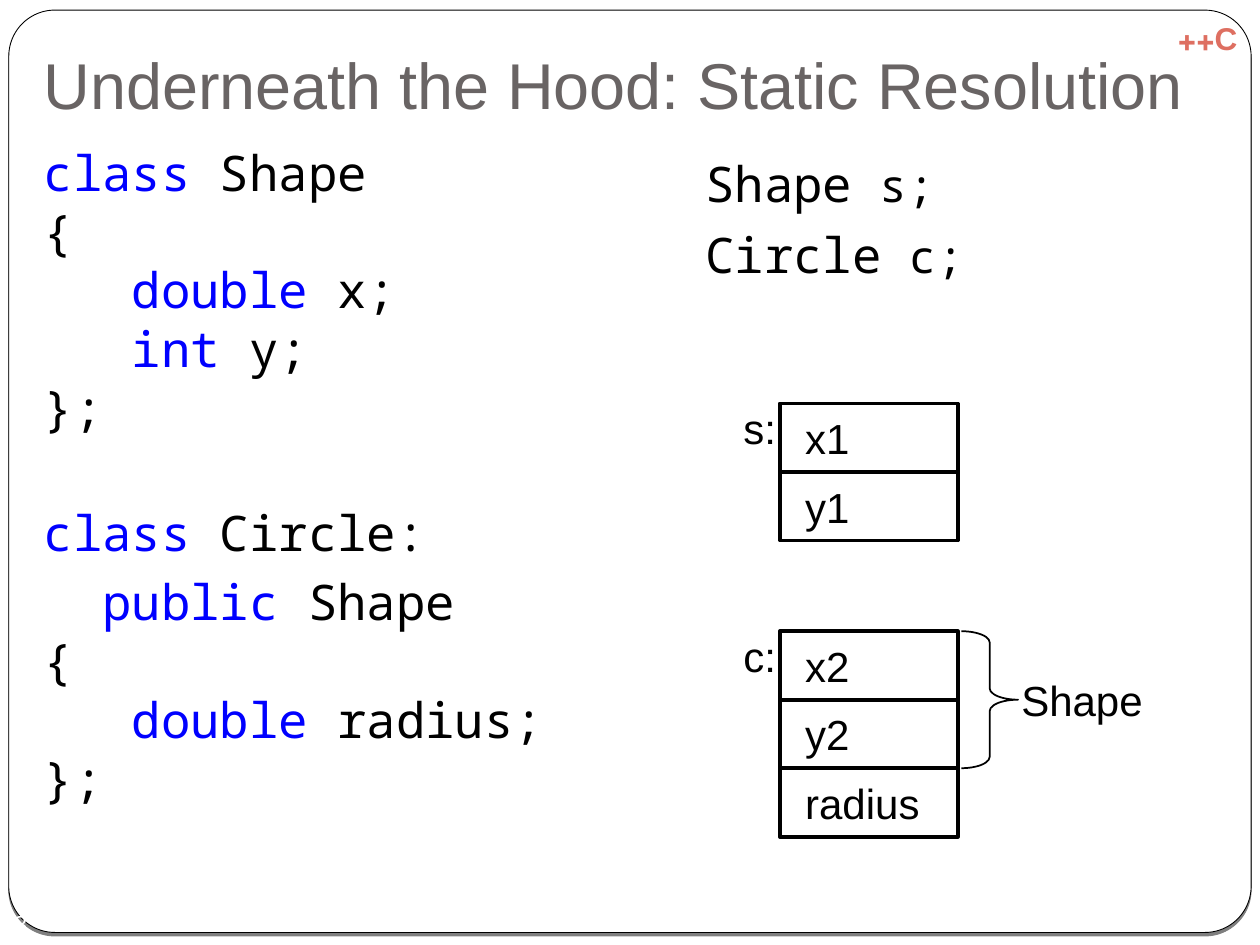
"""Build a slide on how static resolution lays out class objects in memory."""
from dataclasses import dataclass
from copy import deepcopy

from lxml import etree
from pptx import Presentation, util as u
from pptx.dml.color import RGBColor
from pptx.enum import shapes, text
from pptx.oxml import ns

WIDTH, HEIGHT = u.Inches(10), u.Inches(7.5)
BLACK, WHITE, BLUE, GREY, CORAL = "000000", "FFFFFF", "0000FF", "696464", "DE6F61"
NARROW = (0.1, 0.05, 0.1, 0.05)
WIDE = (0.2, 0.15, 0.2, 0.15)
CELL_LEFT, CELL_WIDTH, CELL_HEIGHT = 61.9, 14.1, 7.25


@dataclass(frozen=True)
class Place:
    """A box in percent of the slide's width and height."""
    left: float
    top: float
    width: float
    height: float

    def lengths(self) -> tuple:
        """Return the box as lengths on the slide."""
        return tuple(u.Emu(round(share * full / 100)) for share, full in zip(
            (self.left, self.top, self.width, self.height), (WIDTH, HEIGHT) * 2))


@dataclass(frozen=True)
class Style:
    """The look of a run of text."""
    size: float
    colour: str = BLACK
    name: str = "Arial"
    bold: bool = False


@dataclass(frozen=True)
class Label:
    """One line of text with its box."""
    wording: str
    place: Place
    style: Style
    frame: dict
    paragraph: dict
    margins: tuple = WIDE
    right_to_left: bool = False


@dataclass(frozen=True)
class CodeBlock:
    """Source code whose lines open with a word in its own style."""
    place: Place
    paragraphs: tuple
    opening: Style
    plain: Style
    line_spacing: float
    gaps: tuple


@dataclass(frozen=True)
class MemoryObject:
    """An object as a column of member cells."""
    name: str
    top: float
    members: tuple


def rgb(colour: str) -> RGBColor:
    """Turn a hex string into a colour."""
    return RGBColor.from_string(colour)


def apply(target, values: dict) -> None:
    """Set each named attribute on the target."""
    for name, value in values.items():
        setattr(target, name, value)


def add_run(paragraph, wording: str, style: Style):
    """Add a styled run to a paragraph."""
    run = paragraph.add_run()
    run.text = wording
    apply(run.font, {"size": u.Pt(style.size), "name": style.name, "bold": style.bold})
    run.font.color.rgb = rgb(style.colour)
    return run


def set_frame(shape, margins: tuple, values: dict):
    """Set margins and format values of a text frame."""
    frame = shape.text_frame
    sides = ("margin_left", "margin_top", "margin_right", "margin_bottom")
    apply(frame, dict(zip(sides, map(u.Inches, margins))) | values)
    return frame


def add_outline(container, kind, place: Place, fill: str = "", line: float = 0):
    """Add a preset shape with an optional fill and black line."""
    shape = container.add_shape(kind, *place.lengths())
    shape.shadow.inherit = False
    if fill:
        shape.fill.solid()
        shape.fill.fore_color.rgb = rgb(fill)
    else:
        shape.fill.background()
    if line:
        shape.line.color.rgb = rgb(BLACK)
        shape.line.width = u.Pt(line)
    else:
        shape.line.fill.background()
    return shape


def add_panel(slide) -> None:
    """Add the rounded panel with its lower shadow."""
    panel = add_outline(slide.shapes, shapes.MSO_SHAPE.ROUNDED_RECTANGLE,
                        Place(0.7, 1.07, 98.6, 97.6), WHITE, 0.5)
    panel.adjustments[0] = 0.05
    effects = panel._element.spPr.find(ns.qn("a:effectLst"))
    shadow = etree.SubElement(effects, ns.qn("a:outerShdw"), blurRad="0",
                              dist=str(u.Pt(2)), dir="5400000", rotWithShape="0")
    colour = etree.SubElement(shadow, ns.qn("a:srgbClr"), val=BLACK)
    etree.SubElement(colour, ns.qn("a:alpha"), val="50000")


def add_label(slide, label: Label) -> None:
    """Add a one-line text box."""
    box = slide.shapes.add_textbox(*label.place.lengths())
    paragraph = set_frame(box, label.margins, label.frame).paragraphs[0]
    apply(paragraph, label.paragraph)
    if label.right_to_left:
        paragraph._p.get_or_add_pPr().set("rtl", "1")
    add_run(paragraph, label.wording, label.style)


def add_code(slide, block: CodeBlock) -> None:
    """Add a code block, styling the opening word of each statement."""
    box = slide.shapes.add_textbox(*block.place.lengths())
    frame = set_frame(box, NARROW, {"word_wrap": True})
    for index, (source, gap) in enumerate(zip(block.paragraphs, block.gaps)):
        paragraph = frame.add_paragraph() if index else frame.paragraphs[0]
        apply(paragraph, {"line_spacing": block.line_spacing, "space_before": u.Pt(gap)})
        run = None
        for line in source.split("\n"):
            if run is not None:
                paragraph.add_line_break()
                paragraph._p[-1].append(deepcopy(run._r.rPr))
            indent = " " * (len(line) - len(line.lstrip()))
            word, space, rest = line.lstrip().partition(" ")
            run = add_run(paragraph, indent + word, block.opening if rest else block.plain)
            if rest:
                run = add_run(paragraph, space + rest, block.plain)


def add_memory(slide, item: MemoryObject) -> None:
    """Add the cells of an object and its name."""
    group = slide.shapes.add_group_shape()
    for row, member in enumerate(item.members):
        place = Place(CELL_LEFT, item.top + row * CELL_HEIGHT, CELL_WIDTH, CELL_HEIGHT)
        cell = add_outline(group.shapes, shapes.MSO_SHAPE.RECTANGLE, place, line=2.25)
        frame = set_frame(cell, WIDE, {"word_wrap": False,
                                       "vertical_anchor": text.MSO_ANCHOR.MIDDLE})
        frame.paragraphs[0].alignment = text.PP_ALIGN.LEFT
        add_run(frame.paragraphs[0], member, Style(24))
    add_label(slide, Label(item.name, Place(57, item.top - 2.13, 6.6, 9.33), Style(24),
                           {"word_wrap": False}, {}))


def main() -> None:
    """Build and save the slide."""
    presentation = Presentation()
    apply(presentation, {"slide_width": WIDTH, "slide_height": HEIGHT})
    slide = presentation.slides.add_slide(presentation.slide_layouts[6])
    mono, centred = "Noto Sans Mono", {"alignment": text.PP_ALIGN.CENTER}
    add_outline(slide.shapes, shapes.MSO_SHAPE.RECTANGLE, Place(0, 0, 100, 100), WHITE)
    add_panel(slide)
    labels = (
        Label("C++", Place(91.7, 1.33, 8.3, 5.33), Style(18, CORAL, bold=True),
              {"word_wrap": True}, centred, NARROW, True),
        Label("Underneath the Hood: Static Resolution", Place(2.5, 4, 95, 10.4),
              Style(37, GREY), {"word_wrap": True, "vertical_anchor": text.MSO_ANCHOR.BOTTOM},
              {"line_spacing": 0.9}, (0.1, 0.05, 0.1, 0.1)),
        Label("8", Place(0, 95.6, 3.3, 4.4), Style(14, WHITE),
              {"word_wrap": True, "vertical_anchor": text.MSO_ANCHOR.MIDDLE},
              centred, (0, 0, 0, 0)),
        Label("Shape", Place(78.1, 69.33, 14.6, 9.33), Style(24), {"word_wrap": False},
              {"alignment": text.PP_ALIGN.RIGHT}),
    )
    for label in labels:
        add_label(slide, label)
    classes = ("class Shape\n{\n   double x;\n   int y;\n};", "class Circle:",
               "  public Shape\n{\n   double radius;\n};")
    add_code(slide, CodeBlock(Place(2.5, 14.4, 52, 82.27), classes, Style(28, BLUE, mono),
                              Style(28, name=mono), 1, (0, 38, 5.8)))
    add_code(slide, CodeBlock(Place(55, 14.4, 42.5, 82.27), ("Shape s;\nCircle c;",),
                              Style(28, name=mono), Style(26, name=mono), 1.2, (0,)))
    for item in (MemoryObject("s:", 42.7, ("x1", "y1")),
                 MemoryObject("c:", 66.8, ("x2", "y2", "radius"))):
        add_memory(slide, item)
    brace = add_outline(slide.shapes, shapes.MSO_SHAPE.RIGHT_BRACE,
                        Place(76.3, 66.8, 4.5, 2 * CELL_HEIGHT), line=1)
    brace.adjustments[0] = 0.2
    presentation.save("out.pptx")


if __name__ == "__main__":
    main()
